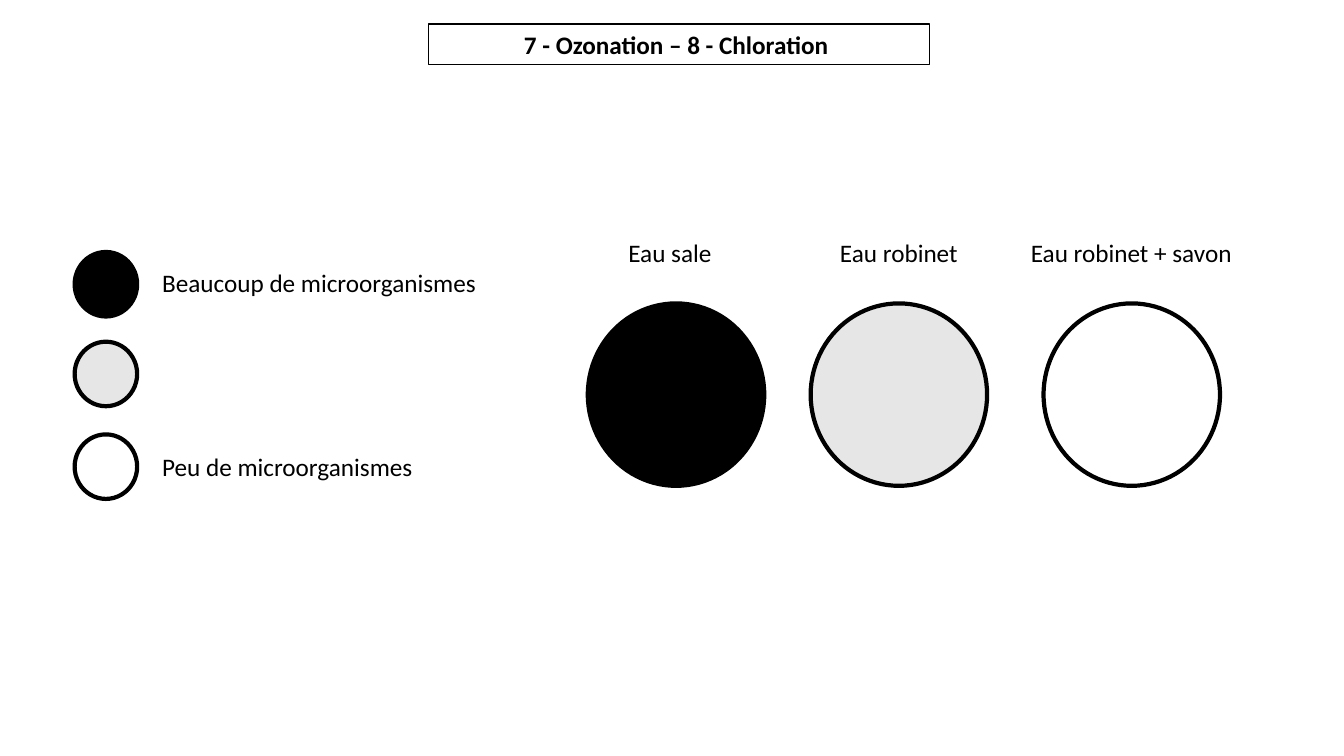
"""Build the ozonation and chlorination results slide."""
from pptx import Presentation, util as u
from pptx.dml.color import RGBColor
from pptx.enum import shapes, text

INK = {"black": "000000", "grey": "E7E6E6", "white": "FFFFFF"}


class Deck:
    """Hold the style and the current slide."""

    def __init__(self):
        self.prs = Presentation()
        self.prs.slide_width = u.Inches(13.33)
        self.prs.slide_height = u.Inches(7.5)
        self.slide = self.prs.slides.add_slide(self.prs.slide_layouts[6])
        self.font = "Calibri"

    def tint(self, name):
        return RGBColor.from_string(INK[name])

    def shape(self, kind, box, fill, width):
        item = self.slide.shapes.add_shape(kind, *map(u.Inches, box))
        item.shadow.inherit = False
        item.fill.solid()
        item.fill.fore_color.rgb = self.tint(fill)
        item.line.color.rgb = self.tint("black")
        item.line.width = u.Pt(width)
        return item

    def disc(self, box, fill):
        return self.shape(shapes.MSO_SHAPE.OVAL, box, fill, 3)

    def label(self, words, box, **style):
        item = self.slide.shapes.add_textbox(*map(u.Inches, box))
        self.words(item, words, **style)

    def title(self, words, box):
        item = self.shape(shapes.MSO_SHAPE.RECTANGLE, box, "white", 1)
        self.words(item, words, bold=True, align="CENTER")

    def words(self, item, words, size=18, bold=False, align="LEFT", color="black"):
        frame = item.text_frame
        frame.word_wrap = True
        frame.auto_size = text.MSO_AUTO_SIZE.SHAPE_TO_FIT_TEXT
        frame.vertical_anchor = text.MSO_ANCHOR.TOP
        para = frame.paragraphs[0]
        para.alignment = text.PP_ALIGN[align]
        run = para.add_run()
        run.text = words
        run.font.name = self.font
        run.font.size = u.Pt(size)
        run.font.bold = bold
        run.font.color.rgb = self.tint(color)


def main():
    deck = Deck()
    water = [
        ("Eau sale", "black", 5.83, 6.01, 1.27),
        ("Eau robinet", "grey", 8.04, 8.16, 1.51),
        ("Eau robinet + savon", "white", 10.35, 10.05, 2.34),
    ]
    for words, fill, left, start, width in water:
        deck.disc((left, 3.01, 1.75, 1.81), fill)
        deck.label(words, (start, 2.31, width, 0.4), align="CENTER")

    for fill, top in (("black", 2.5), ("grey", 3.39), ("white", 4.31)):
        deck.disc((0.74, top, 0.62, 0.64), fill)
    deck.label("Beaucoup de microorganismes", (1.51, 2.6, 3.65, 0.4))
    deck.label("Peu de microorganismes", (1.51, 4.43, 2.71, 0.4))

    deck.title("7 - Ozonation – 8 - Chloration ", (4.25, 0.24, 4.97, 0.4))
    deck.prs.save("out.pptx")


if __name__ == "__main__":
    main()
